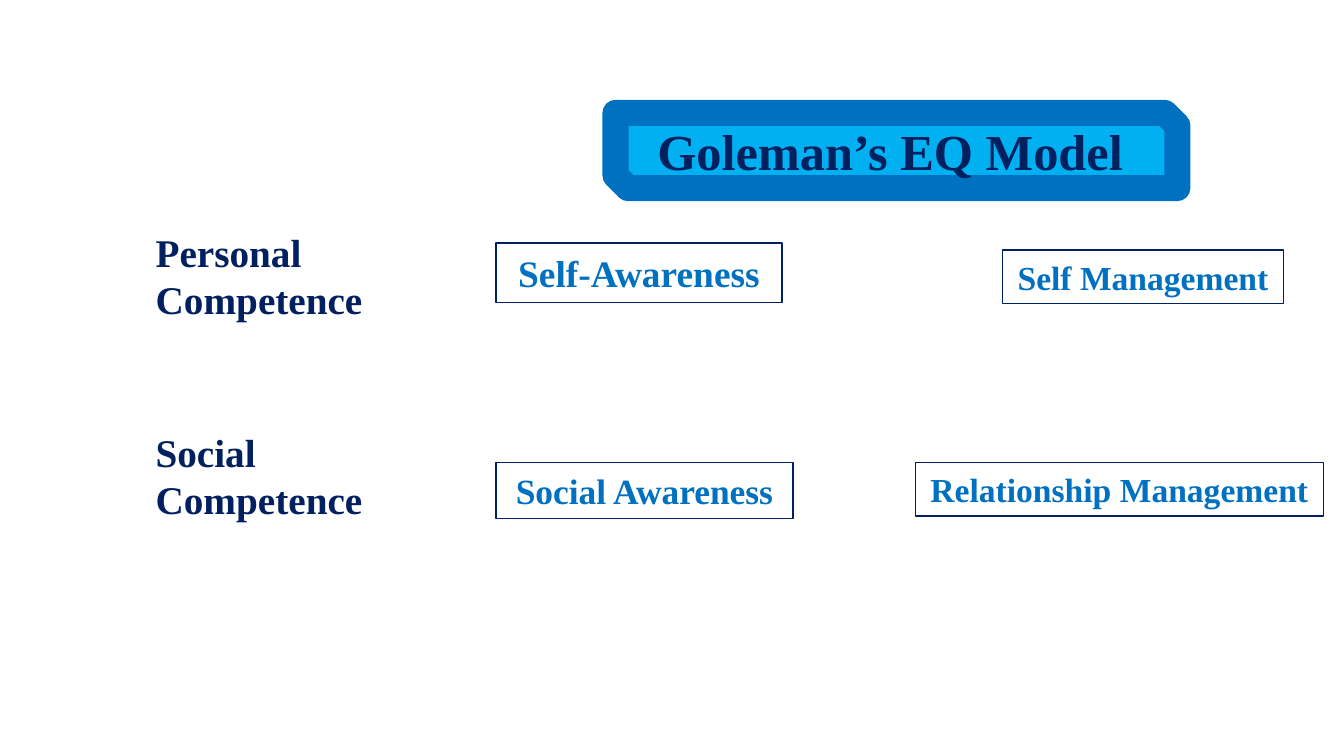
from pptx import Presentation
from pptx.dml.color import RGBColor
from pptx.enum.shapes import MSO_SHAPE
from pptx.enum.text import MSO_ANCHOR, PP_ALIGN
from pptx.util import Inches, Pt

RECTANGLE = MSO_SHAPE.RECTANGLE
SNIPPED = MSO_SHAPE.SNIP_2_DIAG_RECTANGLE
TOP, MIDDLE = MSO_ANCHOR.TOP, MSO_ANCHOR.MIDDLE
LEFT, CENTER = PP_ALIGN.LEFT, PP_ALIGN.CENTER

FONT = "Times New Roman"
NAVY, BLUE, SKY = "002060", "0070C0", "00B0F0"

SLIDE_WIDTH = 10
SLIDE_HEIGHT = SLIDE_WIDTH * 9 / 16
LABEL_LEFT = 1.06
AWARENESS_LEFT = 3.69
SOCIAL_TOP = 3.44

SKILLS = [
    ("Self-Awareness", 20, (AWARENESS_LEFT, 1.81, 2.13, 0.44)),
    ("Social Awareness", 19, (AWARENESS_LEFT, SOCIAL_TOP, 2.21, 0.42)),
    ("Self Management", 18, (7.46, 1.86, 2.09, 0.4)),
    ("Relationship Management", 18, (6.81, SOCIAL_TOP, 3.04, 0.4)),
]


def color(value):
    return RGBColor.from_string(value)


def add_run(paragraph, text, size, text_color):
    run = paragraph.add_run()
    run.text = text
    run.font.name = FONT
    run.font.size = Pt(size)
    run.font.bold = True
    run.font.color.rgb = color(text_color)


def write_paragraphs(shape, paragraphs, size, text_color, alignment, anchor, wrap):
    frame = shape.text_frame
    frame.word_wrap = wrap
    frame.vertical_anchor = anchor
    for index, lines in enumerate(paragraphs):
        paragraph = frame.add_paragraph() if index else frame.paragraphs[0]
        paragraph.alignment = alignment
        for position, line in enumerate(lines):
            if position:
                paragraph.add_line_break()
            add_run(paragraph, line, size, text_color)


def add_outlined_shape(slide, kind, box, line_color, line_width):
    shape = slide.shapes.add_shape(kind, *map(Inches, box))
    shape.shadow.inherit = False
    shape.fill.background()
    shape.line.color.rgb = color(line_color)
    shape.line.width = Pt(line_width)
    return shape


def add_title(slide):
    shape = add_outlined_shape(slide, SNIPPED, (4.58, 0.84, 4.18, 0.56), BLUE, 14)
    shape.fill.solid()
    shape.fill.fore_color.rgb = color(SKY)
    write_paragraphs(shape, [["Goleman’s EQ Model "]], 27, NAVY, CENTER, MIDDLE, True)


def add_skill(slide, text, size, box):
    shape = add_outlined_shape(slide, RECTANGLE, box, NAVY, 0.75)
    write_paragraphs(shape, [[text]], size, BLUE, CENTER, TOP, False)


def add_competence_label(slide, paragraphs, top, width):
    box = slide.shapes.add_textbox(*map(Inches, (LABEL_LEFT, top, width, 0.81)))
    write_paragraphs(box, paragraphs, 21, NAVY, LEFT, TOP, True)


def main():
    presentation = Presentation()
    presentation.slide_width = Inches(SLIDE_WIDTH)
    presentation.slide_height = Inches(SLIDE_HEIGHT)
    slide = presentation.slides.add_slide(presentation.slide_layouts[6])

    for text, size, box in SKILLS:
        add_skill(slide, text, size, box)
    add_title(slide)
    add_competence_label(slide, [["Personal"], ["Competence"]], 1.65, 2.12)
    add_competence_label(slide, [["Social ", "Competence"]], 3.14, 2.07)

    presentation.save("out.pptx")


if __name__ == "__main__":
    main()
